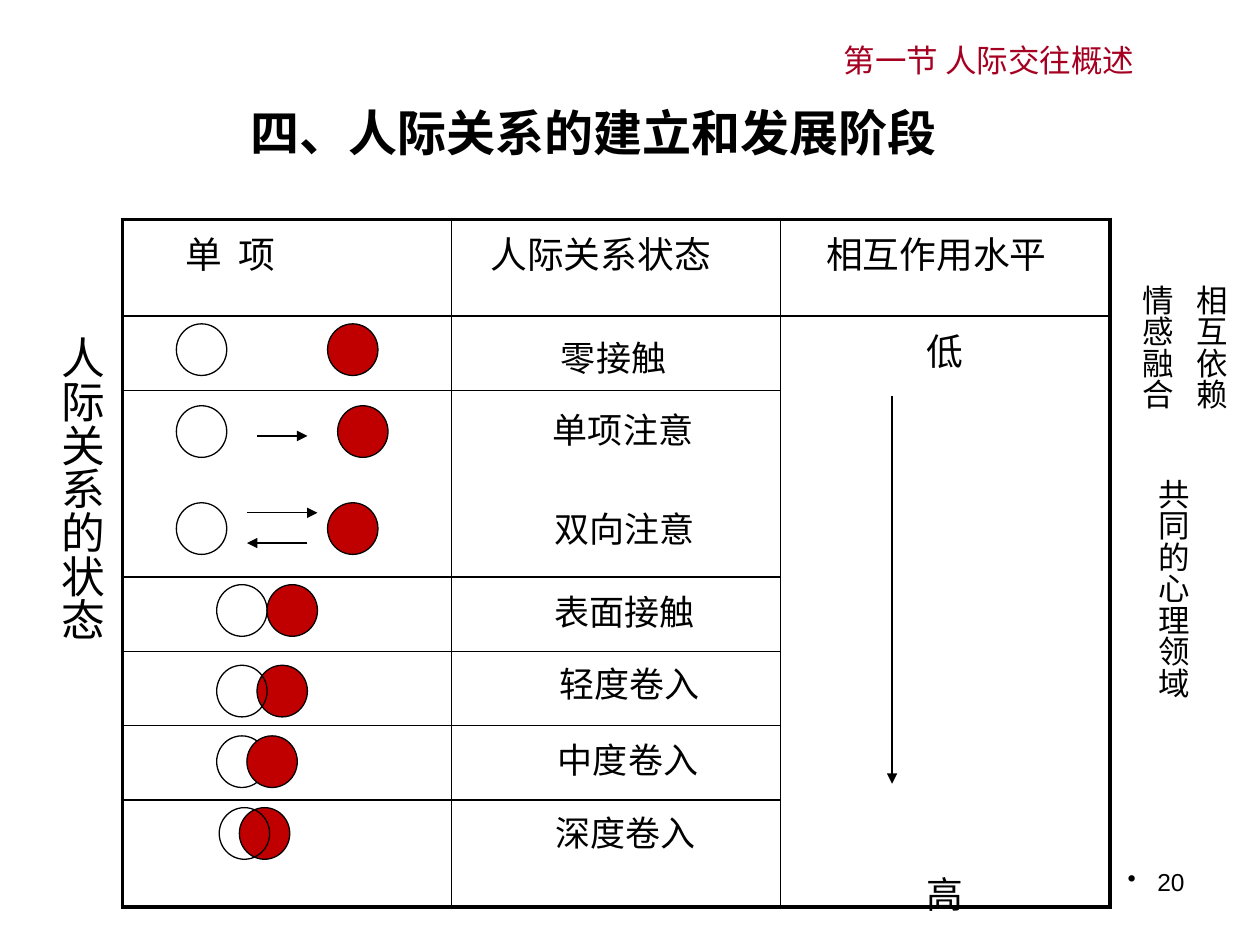
from pptx import Presentation
from pptx.dml.color import RGBColor
from pptx.enum.shapes import MSO_CONNECTOR, MSO_SHAPE
from pptx.enum.text import MSO_ANCHOR, PP_ALIGN
from pptx.oxml.ns import qn
from pptx.util import Inches, Pt
from lxml import etree

LEFT, CENTER, RIGHT = PP_ALIGN.LEFT, PP_ALIGN.CENTER, PP_ALIGN.RIGHT
TOP, MIDDLE = MSO_ANCHOR.TOP, MSO_ANCHOR.MIDDLE
OVAL, STRAIGHT = MSO_SHAPE.OVAL, MSO_CONNECTOR.STRAIGHT

THEME = {
    "font": "Noto Sans CJK SC", "number_font": "Arial",
    "ink": RGBColor(0, 0, 0), "red": RGBColor(0xC0, 0, 0),
    "section": RGBColor(0xA5, 0, 0x21),
    "title": 28, "side": 25, "cell": 21, "label": 20, "note": 18, "number": 14,
    "thin": 1, "thick": 2.25, "outline": 0.75,
}

prs = Presentation()
prs.slide_width, prs.slide_height = Inches(10), Inches(7.5)
U = prs.slide_width / 100  # grid of 100 columns by 75 rows
s = prs.slides.add_slide(prs.slide_layouts[5])


def write(tf, lines, size, align=LEFT, before=0, color=THEME["ink"], font=THEME["font"], bold=False):
    """Fill a text frame, one paragraph per line; before is a share of the type size."""
    for i, line in enumerate(lines):
        p = tf.paragraphs[0] if i == 0 else tf.add_paragraph()
        p.alignment = align
        p.space_before = Pt(size * before)
        r = p.add_run()
        r.text = line
        r.font.size, r.font.name, r.font.bold = Pt(size), font, bold
        r.font.color.rgb = color
        etree.SubElement(r._r.get_or_add_rPr(), qn("a:ea"), typeface=font)


def add_text(x, y, w, h, lines, size, vertical=False, **style):
    """Add a text box placed on the grid."""
    tf = s.shapes.add_textbox(*(int(n * U) for n in (x, y, w, h))).text_frame
    tf.word_wrap = True
    if vertical:
        tf._txBody.bodyPr.set("vert", "eaVert")
    write(tf, lines, size, **style)
    return tf


# Title
title = s.shapes.title
title.left, title.top, title.width, title.height = (int(n * U) for n in (18.5, 7.6, 57.2, 5.7))
title.text_frame.word_wrap = False
title.text_frame.vertical_anchor = MIDDLE
write(title.text_frame, ["四、人际关系的建立和发展阶段"], THEME["title"], align=CENTER, bold=True)

# Section name
tf = add_text(65, 1.3, 26, 5.6, ["第一节 人际交往概述"], THEME["note"], align=RIGHT, color=THEME["section"])
tf.paragraphs[0].line_spacing = 1.5

# Table
rows = [7.7, 5.9, 14.8, 5.9, 5.9, 5.9, 6]
cols = [26.13] * 3
last_row, last_col = len(rows) - 1, len(cols) - 1
frame = s.shapes.add_table(len(rows), len(cols), *(int(n * U) for n in (9.7, 17.4, sum(cols), sum(rows))))
table = frame.table
table.first_row = table.horz_banding = False
for row, height in zip(table.rows, rows):
    row.height = int(height * U)
for col, width in zip(table.columns, cols):
    col.width = int(width * U)
table.cell(1, last_col).merge(table.cell(last_row, last_col))

# Cell borders: thick around the table, thin inside
for r in range(len(rows)):
    for c in range(len(cols)):
        cell = table.cell(r, c)
        bottom = r + (cell.span_height if cell.is_merge_origin else 1) - 1
        outer = {"lnL": c == 0, "lnR": c == last_col, "lnT": r == 0, "lnB": bottom == last_row}
        tcPr = cell._tc.get_or_add_tcPr()
        for side, thick in outer.items():
            width = Pt(THEME["thick" if thick else "thin"])
            ln = etree.SubElement(tcPr, qn(f"a:{side}"), w=str(width))
            fill = etree.SubElement(ln, qn("a:solidFill"))
            etree.SubElement(fill, qn("a:srgbClr"), val=str(THEME["ink"]))
        cell.fill.background()

# Header row and the level scale
headers = [("单  项", 5), ("人际关系状态", 3.1), ("相互作用水平", 3.6)]
for c, (text, indent) in enumerate(headers):
    cell = table.cell(0, c)
    cell.margin_left = int(indent * U)
    write(cell.text_frame, [text], THEME["cell"], before=0.2)
scale = table.cell(1, last_col).text_frame
write(scale, ["低", "高"], THEME["cell"], align=CENTER, before=0.2)
scale.paragraphs[1].space_before = Pt(280)

# Stages: label, label left, top and width, circle top, white left, red left, red in front
stages = [
    ("零接触", 43.4, 26.2, 10.6, 25.7, 14, 26, True),
    ("单项注意", 42.7, 31.9, 13.5, 32.2, 14, 26.8, True),
    ("双向注意", 42.8, 39.8, 13.5, 39.9, 14, 26, False),
    ("表面接触", 42.8, 46.4, 13.5, 46.4, 17.2, 21.2, False),
    ("轻度卷入", 43.2, 52.1, 13.5, 52.8, 17.2, 20.4, False),
    ("中度卷入", 43.1, 58.1, 13.5, 58.4, 17.2, 19.6, True),
    ("深度卷入", 42.9, 63.9, 13.5, 64.1, 17.4, 19, False),
]
for label, x, y, w, top, white, red, red_in_front in stages:
    circles = [(white, False), (red, True)]
    for left, filled in circles if red_in_front else circles[::-1]:
        sp = s.shapes.add_shape(OVAL, *(int(n * U) for n in (left, top, 4, 4.1)))
        sp.shadow.inherit = False
        sp.line.color.rgb, sp.line.width = THEME["ink"], Pt(THEME["outline"])
        if filled:
            sp.fill.solid()
            sp.fill.fore_color.rgb = THEME["red"]
        else:
            sp.fill.background()
    add_text(x, y, w, 4.5, [label], THEME["label"], align=CENTER, before=0.2)

# Arrows: attention between people, then the rising level
arrows = [(20.4, 34.6, 24.4, 34.6), (19.6, 40.7, 25.2, 40.7),
          (24.4, 43.1, 19.6, 43.1), (70.8, 31.4, 70.8, 62.2)]
for ends in arrows:
    arrow = s.shapes.add_connector(STRAIGHT, *(int(n * U) for n in ends))
    arrow.line.color.rgb, arrow.line.width = THEME["ink"], Pt(THEME["outline"])
    etree.SubElement(arrow.line._get_or_add_ln(), qn("a:tailEnd"), type="triangle")
    etree.SubElement(arrow._element.spPr, qn("a:effectLst"))

# Vertical side notes
add_text(2.8, 25.7, 6.3, 33.5, ["人际关系的状态"], THEME["side"], vertical=True, before=0.5)
add_text(88.5, 21.6, 9.6, 24.3, ["相互依赖", "情感融合"], THEME["note"], vertical=True, before=0.5)
add_text(90, 37, 5.1, 26.8, ["共同的心理领域"], THEME["note"], vertical=True)

# Page number
tf = add_text(71.7, 68.3, 23.3, 5.2, ["20"], THEME["number"], align=RIGHT, font=THEME["number_font"])
tf.vertical_anchor = TOP
etree.SubElement(tf.paragraphs[0]._p.get_or_add_pPr(), qn("a:buChar"), char="•")

prs.save("out.pptx")
